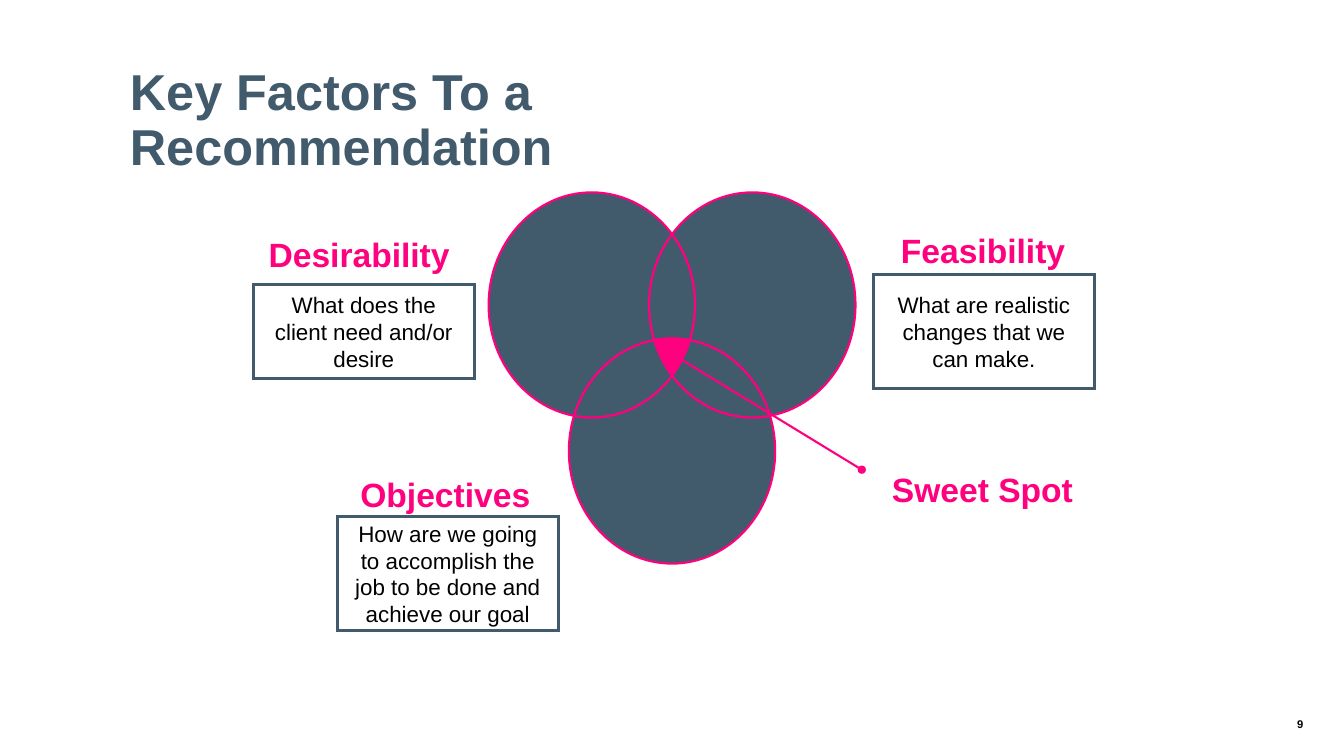
import math
from lxml import etree
from pptx import Presentation
from pptx.dml.color import RGBColor
from pptx.enum.shapes import MSO_CONNECTOR, MSO_SHAPE
from pptx.enum.text import MSO_ANCHOR, PP_ALIGN
from pptx.oxml.ns import qn
from pptx.util import Pt

LEFT, CENTER, RIGHT = PP_ALIGN.LEFT, PP_ALIGN.CENTER, PP_ALIGN.RIGHT
TOP, MIDDLE = MSO_ANCHOR.TOP, MSO_ANCHOR.MIDDLE
RECTANGLE, STRAIGHT = MSO_SHAPE.RECTANGLE, MSO_CONNECTOR.STRAIGHT
SLATE, PINK, BLACK = "415A6C", "FF007F", "000000"
QUARTER = math.pi / 2
RADIUS_X, RADIUS_Y = 73.7, 80.4
LABEL_SIZE = (177.8, 32.4)
LABEL_FONT = {"size": Pt(24), "bold": True}
LABEL_SPACING = {"line_spacing": 0.95, "space_after": Pt(16)}

CROSSINGS = {
    "top": ("desire", "feasible", -1),
    "heart": ("desire", "feasible", 1),
    "left": ("desire", "objective", 1),
    "inner right": ("desire", "objective", -1),
    "inner left": ("feasible", "objective", 1),
    "right": ("feasible", "objective", -1),
}
REGIONS = [
    (SLATE, [("top", "desire", -1), ("left", "objective", 1), ("inner left", "feasible", 1)]),
    (SLATE, [("top", "desire", 1), ("inner right", "objective", 1), ("right", "feasible", -1)]),
    (SLATE, [("top", "desire", 1), ("inner right", "objective", -1), ("inner left", "feasible", 1)]),
    (SLATE, [("heart", "desire", 1), ("left", "objective", -1), ("right", "feasible", 1)]),
    (SLATE, [("inner left", "objective", -1), ("left", "desire", -1), ("heart", "feasible", 1)]),
    (SLATE, [("inner right", "desire", 1), ("heart", "feasible", -1), ("right", "objective", -1)]),
    (PINK, [("inner right", "desire", 1), ("heart", "feasible", 1), ("inner left", "objective", 1)]),
]
FACTORS = [
    ("Desirability", "What does the client need and/or desire",
     (180.9, 203.4, 157.9, 67), (-30.4, -41.4), RIGHT),
    ("Objectives", "How are we going to accomplish the job to be done and achieve our goal",
     (240.9, 369, 157.9, 81.4), (-32.8, -35.6), RIGHT),
    ("Feasibility", "What are realistic changes that we can make.",
     (623.9, 196.2, 157.9, 81.4), (12.6, -37.1), LEFT),
]


def color(hex_code):
    """Turn a hex string into a colour."""
    return RGBColor.from_string(hex_code)


def apply(target, values):
    """Set every attribute in a dict of format values."""
    for name, value in values.items():
        setattr(target, name, value)


def write(shape, words, ink, font, paragraph_format, anchor=TOP, inset=7.2, inset_y=7.2):
    """Put one styled paragraph into a shape."""
    frame = shape.text_frame
    apply(frame, {"word_wrap": True, "vertical_anchor": anchor,
                  "margin_left": Pt(inset), "margin_right": Pt(inset),
                  "margin_top": Pt(inset_y), "margin_bottom": Pt(inset_y)})
    paragraph = frame.paragraphs[0]
    apply(paragraph, paragraph_format)
    run = paragraph.add_run()
    run.text = words
    apply(run.font, {"name": "Arial", **font})
    run.font.color.rgb = color(ink)


def add_text(slide, box, *args, **kwargs):
    """Add a text box at the given box."""
    write(slide.shapes.add_textbox(*map(Pt, box)), *args, **kwargs)


def add_label(slide, x, y, words, align):
    """Add a pink heading."""
    add_text(slide, (x, y, *LABEL_SIZE), words, PINK, LABEL_FONT,
             {"alignment": align, **LABEL_SPACING})


def add_factor(slide, box, heading, question, offset, align):
    """Add a framed question with its heading offset from the frame."""
    add_label(slide, box[0] + offset[0], box[1] + offset[1], heading, align)
    frame = slide.shapes.add_shape(RECTANGLE, *map(Pt, box))
    frame.shadow.inherit = False
    frame.fill.background()
    frame.line.color.rgb = color(SLATE)
    frame.line.width = Pt(2.25)
    etree.SubElement(frame.line._get_or_add_ln(), qn("a:miter"), lim="800000")
    write(frame, question, BLACK, {"size": Pt(16)}, {"alignment": CENTER}, MIDDLE, inset_y=3.6)


def angle_at(center, point):
    """Give the ellipse parameter of a point seen from a centre."""
    return math.atan2((point[1] - center[1]) / RADIUS_Y, (point[0] - center[0]) / RADIUS_X)


def point_at(center, angle, pull=0):
    """Give the point on an ellipse, moved along its tangent by a pull."""
    return (center[0] + RADIUS_X * (math.cos(angle) - pull * math.sin(angle)),
            center[1] + RADIUS_Y * (math.sin(angle) + pull * math.cos(angle)))


def crossing(first, second, side):
    """Find where two equal ellipses cross."""
    distance = math.hypot((second[0] - first[0]) / RADIUS_X, (second[1] - first[1]) / RADIUS_Y)
    return point_at(first, angle_at(first, second) + side * math.acos(distance / 2))


def arc(center, start, end, turn):
    """List Bezier curves along an ellipse, split at its extremes, clockwise when turn is 1."""
    first = angle_at(center, start)
    last = first + turn * ((turn * (angle_at(center, end) - first)) % math.tau)
    low, high = sorted((first, last))
    extremes = [n * QUARTER for n in range(math.ceil(low / QUARTER), math.floor(high / QUARTER) + 1)]
    stops = [first, *extremes[::turn], last]
    curves = []
    for a, b in zip(stops, stops[1:]):
        pull = 4 / 3 * math.tan((b - a) / 4)
        curves.append((point_at(center, a, pull), point_at(center, b, -pull), point_at(center, b)))
    return curves


def add_region(slide, start, curves, fill):
    """Draw one closed outline of Bezier curves."""
    builder = slide.shapes.build_freeform(*map(Pt, start))
    builder.add_line_segments([tuple(map(Pt, curve[-1])) for curve in curves], close=True)
    region = builder.convert_to_shape()
    for segment, curve in zip(list(region._element.iter(qn("a:lnTo"))), curves):
        bend = etree.Element(qn("a:cubicBezTo"))
        for px, py in curve:
            etree.SubElement(bend, qn("a:pt"), x=str(Pt(px) - region.left), y=str(Pt(py) - region.top))
        segment.getparent().replace(segment, bend)
    region.shadow.inherit = False
    region.fill.solid()
    region.fill.fore_color.rgb = color(fill)
    region.line.color.rgb = color(PINK)
    region.line.width = Pt(1.5)


def add_venn(slide, box):
    """Draw the seven regions of three overlapping ellipses."""
    x, y, width, height = box
    centers = {
        "desire": (x + RADIUS_X, y + RADIUS_Y),
        "feasible": (x + width - RADIUS_X, y + RADIUS_Y),
        "objective": (x + width / 2, y + height - RADIUS_Y),
    }
    corners = {name: crossing(centers[a], centers[b], side)
               for name, (a, b, side) in CROSSINGS.items()}
    for fill, edges in REGIONS:
        curves = []
        for index, (corner, ellipse, turn) in enumerate(edges):
            following = edges[(index + 1) % len(edges)][0]
            curves += arc(centers[ellipse], corners[corner], corners[following], turn)
        add_region(slide, corners[edges[0][0]], curves, fill)


def add_sweet_spot(slide, box):
    """Draw the pointer across the box and its heading at the far end."""
    x, y, width, height = box
    pointer = slide.shapes.add_connector(STRAIGHT, *map(Pt, (x, y, x + width, y + height)))
    pointer.line.color.rgb = color(PINK)
    pointer.line.width = Pt(1.5)
    etree.SubElement(pointer.line._get_or_add_ln(), qn("a:tailEnd"), type="oval")
    etree.SubElement(pointer._element.spPr, qn("a:effectLst"))
    add_label(slide, x + width + 14.4, y + height - 5.7, "Sweet Spot", LEFT)


def main():
    """Build and save the slide."""
    deck = Presentation()
    deck.slide_width, deck.slide_height = Pt(960), Pt(540)
    slide = deck.slides.add_slide(deck.slide_layouts[6])
    add_text(slide, (905.8, 512.2, 25.2, 9.4), "9", BLACK, {"size": Pt(8), "bold": True},
             {"alignment": RIGHT}, MIDDLE, 0, 0)
    add_venn(slide, (349, 137.4, 262.1, 265.2))
    add_sweet_spot(slide, (482.4, 254.2, 133.2, 81.3))
    for heading, question, box, offset, align in FACTORS:
        add_factor(slide, box, heading, question, offset, align)
    add_text(slide, (85.7, 41, 607, 73.4), "Key Factors To a Recommendation", SLATE,
             {"size": Pt(36), "bold": True}, {"alignment": LEFT, "line_spacing": 0.9})
    deck.save("out.pptx")


if __name__ == "__main__":
    main()
